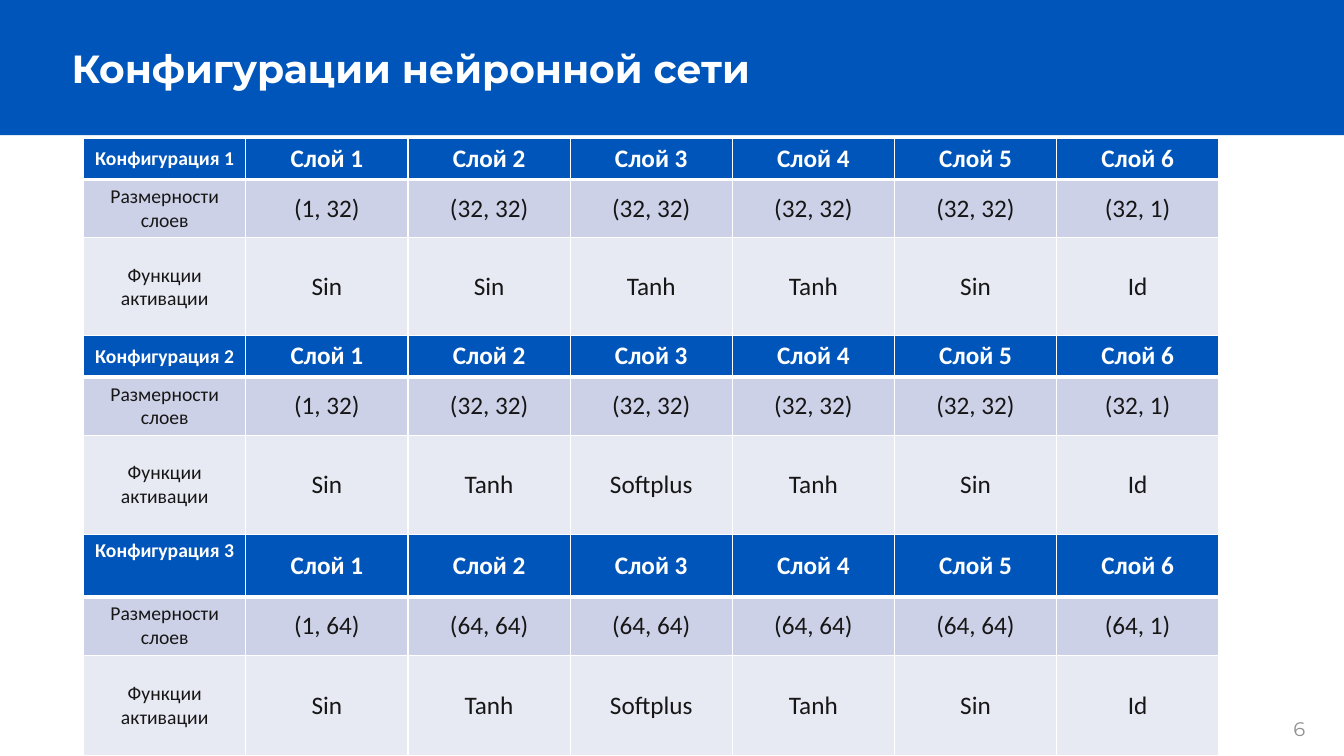
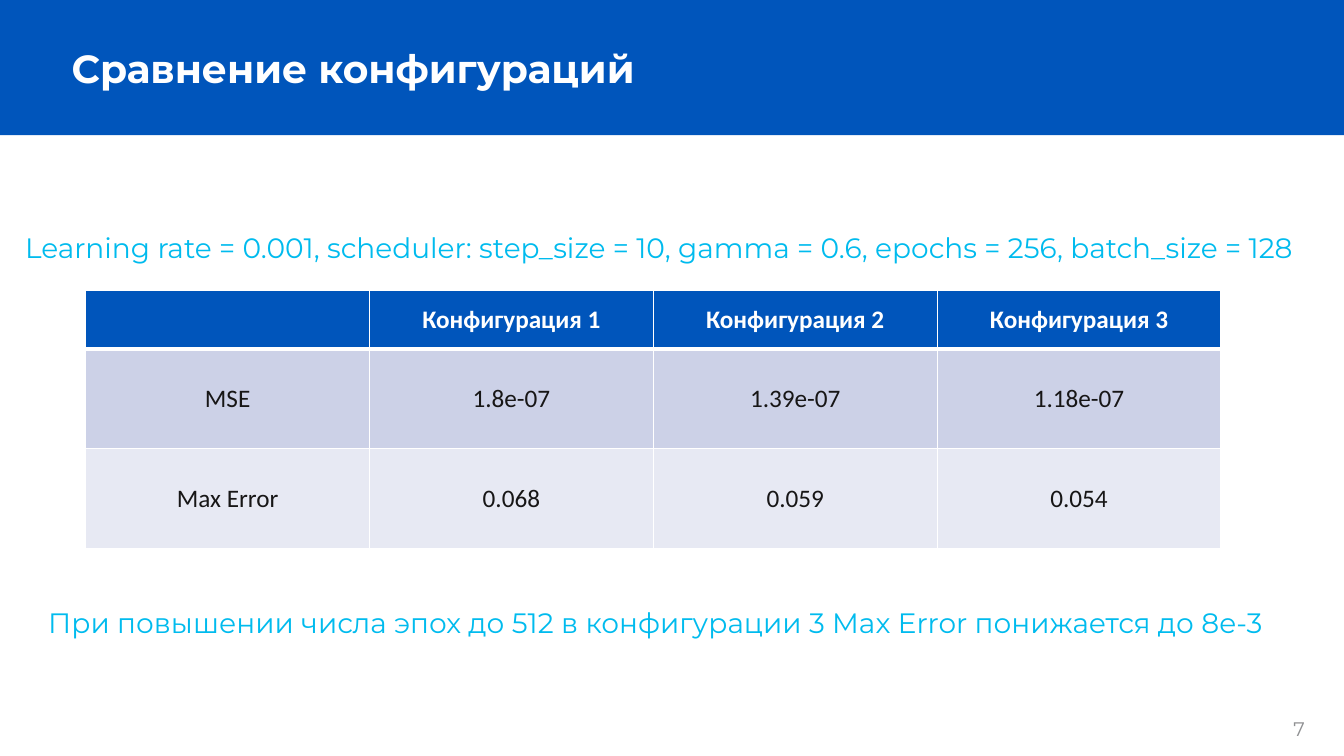
from dataclasses import dataclass

from lxml import etree
from pptx import Presentation
from pptx import util as u
from pptx.dml import color
from pptx.enum import shapes, text
from pptx.oxml import ns

BLUE, CYAN, WHITE = "0055BB", "00BBEE", "FFFFFF"
INK, GREY = "171616", "8F9092"
ROW_FILLS = (BLUE, "CCD1E7", "E7E9F3")
TABLE_WIDTH = 11.26
DIMENSIONS, ACTIVATIONS = "Размерности слоев", "Функции активации"


@dataclass(frozen=True)
class Style:
    size: float
    colour: str
    font: str = "Montserrat"
    bold: bool = False
    align: text.PP_ALIGN = text.PP_ALIGN.LEFT


TITLE = Style(28, WHITE, bold=True)
NOTE = Style(20, CYAN)
PAGE_NUMBER = Style(14, GREY)


@dataclass(frozen=True)
class Grid:
    left: float
    top: float
    row_heights: tuple[float, ...]
    rows: tuple[tuple[str, ...], ...]
    label_size: float = 18
    corner_anchor: text.MSO_ANCHOR = text.MSO_ANCHOR.MIDDLE


def rgb(value: str) -> color.RGBColor:
    return color.RGBColor.from_string(value)


def write(frame, content: str, style: Style) -> None:
    frame.text = content
    paragraph = frame.paragraphs[0]
    paragraph.alignment = style.align
    font = paragraph.font
    for run in paragraph.runs:
        font = run.font
    font.size, font.name, font.bold = u.Pt(style.size), style.font, style.bold
    font.color.rgb = rgb(style.colour)


def add_line(slide, content: str, left: float, top: float, width: float,
             height: float, style: Style, wrap: bool = True) -> None:
    box = slide.shapes.add_textbox(*map(u.Inches, (left, top, width, height)))
    box.text_frame.word_wrap = wrap
    write(box.text_frame, content, style)


def set_borders(cell, top: float, bottom: float) -> None:
    """White borders; they stand before the fill in the cell properties."""
    properties = cell._tc.get_or_add_tcPr()
    widths = {"lnL": 1, "lnR": 1, "lnT": top, "lnB": bottom}
    for index, (side, width) in enumerate(widths.items()):
        line = etree.Element(ns.qn(f"a:{side}"), w=str(u.Pt(width)))
        fill = etree.SubElement(line, ns.qn("a:solidFill"))
        etree.SubElement(fill, ns.qn("a:srgbClr"), val=WHITE)
        properties.insert(index, line)


def add_grid(slide, grid: Grid) -> None:
    columns = len(grid.rows[0])
    table = slide.shapes.add_table(
        len(grid.rows), columns, u.Inches(grid.left), u.Inches(grid.top),
        u.Inches(TABLE_WIDTH), u.Inches(sum(grid.row_heights))).table
    for column in table.columns:
        column.width = u.Inches(TABLE_WIDTH / columns)
    for r, (height, values) in enumerate(zip(grid.row_heights, grid.rows)):
        table.rows[r].height = u.Inches(height)
        header = r == 0
        for c, value in enumerate(values):
            cell = table.cell(r, c)
            cell.vertical_anchor = text.MSO_ANCHOR.MIDDLE
            cell.fill.solid()
            cell.fill.fore_color.rgb = rgb(ROW_FILLS[r])
            set_borders(cell, top=3 if r == 1 else 1, bottom=3 if header else 1)
            write(cell.text_frame, value, Style(
                grid.label_size if c == 0 else 18, WHITE if header else INK,
                "Calibri", header, text.PP_ALIGN.CENTER))
    table.cell(0, 0).vertical_anchor = grid.corner_anchor


def configuration(number: int, top: float, neurons: int, activations: str,
                  row_heights: tuple[float, ...] = (0.41, 0.58, 0.98),
                  corner_anchor: text.MSO_ANCHOR = text.MSO_ANCHOR.MIDDLE) -> Grid:
    """Six layers: one input, hidden layers of equal width, one output."""
    sizes = (1, *[neurons] * 5, 1)
    return Grid(0.83, top, row_heights, (
        (f"Конфигурация {number}", *(f"Слой {n}" for n in range(1, 7))),
        (DIMENSIONS, *(f"({a}, {b})" for a, b in zip(sizes, sizes[1:]))),
        (ACTIVATIONS, *activations.split()),
    ), label_size=14, corner_anchor=corner_anchor)


def prepare_layout(deck, layout, slide) -> None:
    """Put the blue band and the title position on the shared layout."""
    band = slide.shapes.add_shape(
        shapes.MSO_SHAPE.RECTANGLE, 0, 0, deck.slide_width, u.Inches(1.34))
    band.shadow.inherit = False
    band.fill.solid()
    band.fill.fore_color.rgb = rgb(BLUE)
    band.line.fill.background()
    layout.shapes.element.insert(2, band.element)
    title = layout.placeholders[0]
    title.left, title.top, title.width, title.height = map(
        u.Inches, (0.61, 0.39, 12.12, 0.57))


def start_slide(slide, heading: str, number: int) -> None:
    frame = slide.shapes.title.text_frame
    frame.auto_size = text.MSO_AUTO_SIZE.NONE
    frame.vertical_anchor = text.MSO_ANCHOR.MIDDLE
    write(frame, heading, TITLE)
    add_line(slide, str(number), 12.73, 7.06, 0.45, 0.34, PAGE_NUMBER, wrap=False)


def main() -> None:
    deck = Presentation()
    deck.slide_width, deck.slide_height = u.Inches(13.33), u.Inches(7.5)
    layout = deck.slide_layouts[5]
    network, comparison = (deck.slides.add_slide(layout) for _ in range(2))
    prepare_layout(deck, layout, network)

    # Network configurations
    start_slide(network, "Конфигурации нейронной сети", 6)
    for grid in (
        configuration(3, 5.3, 64, "Sin Tanh Softplus Tanh Sin Id",
                      (0.62, 0.58, 1.0), text.MSO_ANCHOR.TOP),
        configuration(1, 1.37, 32, "Sin Sin Tanh Tanh Sin Id"),
        configuration(2, 3.33, 32, "Sin Tanh Softplus Tanh Sin Id"),
    ):
        add_grid(network, grid)

    # Comparison of errors
    start_slide(comparison, "Сравнение конфигураций", 7)
    add_grid(comparison, Grid(0.85, 2.88, (0.58, 0.99, 0.99), (
        ("", *(f"Конфигурация {n}" for n in range(1, 4))),
        ("MSE", "1.8e-07", "1.39e-07", "1.18e-07"),
        ("Max Error", "0.068", "0.059", "0.054"),
    )))
    add_line(comparison, "Learning rate = 0.001, scheduler: step_size = 10, "
             "gamma = 0.6, epochs = 256, batch_size = 128",
             0.15, 2.24, 13.02, 0.44, NOTE)
    add_line(comparison, "При повышении числа эпох до 512 в конфигурации 3 "
             "Max Error понижается до 8e-3", 0.38, 5.96, 13.02, 0.44, NOTE)

    deck.save("out.pptx")


if __name__ == "__main__":
    main()
